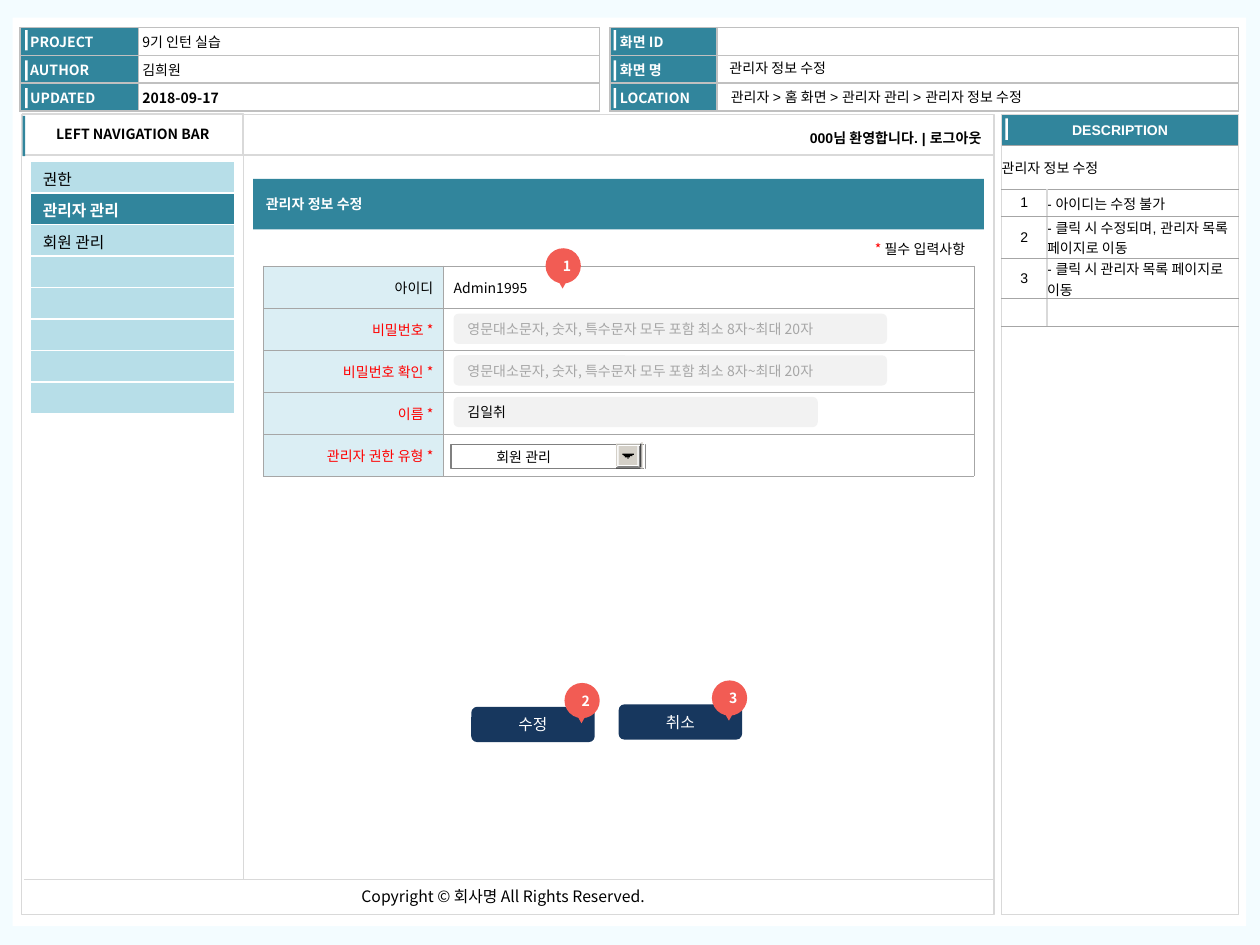
from lxml import etree
from pptx import Presentation
from pptx.dml.color import RGBColor
from pptx.enum.shapes import MSO_CONNECTOR, MSO_SHAPE
from pptx.enum.text import MSO_ANCHOR, MSO_AUTO_SIZE, PP_ALIGN
from pptx.oxml.ns import qn
from pptx.util import Inches, Pt

RECT, ROUND = MSO_SHAPE.RECTANGLE, MSO_SHAPE.ROUNDED_RECTANGLE
OVAL, TRIANGLE = MSO_SHAPE.OVAL, MSO_SHAPE.ISOSCELES_TRIANGLE
LEFT, CENTER, RIGHT = PP_ALIGN.LEFT, PP_ALIGN.CENTER, PP_ALIGN.RIGHT
MIDDLE = MSO_ANCHOR.MIDDLE
STRAIGHT, NO_AUTOSIZE = MSO_CONNECTOR.STRAIGHT, MSO_AUTO_SIZE.NONE
SANS, ARIAL = "Noto Sans CJK KR", "Arial"
TEAL, SKY, PALE, NAVY, CORAL = "31859C", "B7DEE8", "DBEEF4", "17375E", "F25C54"
WHITE, BLACK, RED = "FFFFFF", "000000", "FF0000"
FIELD, EDGE, SILVER, GREY, FACE = "F2F2F2", "D9D9D9", "C0C0C0", "A6A6A6", "D4D0C8"


def rgb(value):
    return RGBColor.from_string(value)


class Wireframe:
    """Draws the elements of a screen specification on the current slide."""

    def __init__(self, slide):
        self.slide = slide
        slide.background.fill.solid()
        slide.background.fill.fore_color.rgb = rgb("F3FCFF")

    def set_text(self, frame, text, color=BLACK, size=8, bold=False, font=SANS, align=LEFT):
        paragraph = frame.paragraphs[0]
        paragraph.alignment = align
        paragraph.font.name, paragraph.font.size, paragraph.font.bold = font, Pt(size), bold
        runs = text if isinstance(text, list) else [(text, color)]
        if len(runs) == 1:
            paragraph.font.color.rgb = rgb(color)
        properties = paragraph._p.get_or_add_pPr().find(qn("a:defRPr"))
        etree.SubElement(properties, qn("a:ea")).set("typeface", SANS)
        for words, run_color in runs:
            if not words:
                paragraph._p.get_or_add_endParaRPr().set("sz", str(size * 100))
                continue
            run = paragraph.add_run()
            run.text = words
            if len(runs) > 1:
                run.font.color.rgb = rgb(run_color)

    def margins(self, target, sides):
        names = ("margin_left", "margin_top", "margin_right", "margin_bottom")
        for name, side in zip(names, sides):
            setattr(target, name, Inches(side))

    def shape(self, box, fill=None, line=None, kind=RECT, text=None,
              inset=(0.1, 0.05, 0.1, 0.05), parent=None, **style):
        shape = (parent or self.slide).shapes.add_shape(kind, *map(Inches, box))
        shape.shadow.inherit = False
        if fill:
            shape.fill.solid()
            shape.fill.fore_color.rgb = rgb(fill)
        else:
            shape.fill.background()
        if line:
            shape.line.color.rgb = rgb(line)
            shape.line.width = Pt(0.75)
        else:
            shape.line.fill.background()
        if text:
            shape.text_frame.vertical_anchor = MIDDLE
            self.margins(shape.text_frame, inset)
            self.set_text(shape.text_frame, text, **style)
        return shape

    def text(self, box, text, inset=(0.08, 0.04, 0.08, 0.04), wrap=True, **style):
        frame = self.slide.shapes.add_textbox(*map(Inches, box)).text_frame
        frame.word_wrap = wrap
        self.margins(frame, inset)
        self.set_text(frame, text, **style)

    def title(self, box, text):
        title = self.slide.shapes.title
        title.left, title.top, title.width, title.height = map(Inches, box)
        title.fill.solid()
        title.fill.fore_color.rgb = rgb(TEAL)
        frame = title.text_frame
        frame.auto_size, frame.vertical_anchor = NO_AUTOSIZE, MIDDLE
        self.set_text(frame, text, color=WHITE, bold=True)
        self.slide.shapes.element.append(title.element)

    def line(self, start, end, width=1.0):
        line = self.slide.shapes.add_connector(STRAIGHT, *map(Inches, start + end))
        line.line.color.rgb = rgb(EDGE)
        line.line.width = Pt(width)
        etree.SubElement(line.element.spPr, qn("a:effectLst"))

    def border(self, tag, color, width):
        edge = etree.Element(qn("a:" + tag), w=str(Pt(width)))
        fill = etree.SubElement(edge, qn("a:solidFill"))
        etree.SubElement(fill, qn("a:srgbClr"), val=color)
        return edge

    def table(self, origin, widths, heights, rows, upright, level, inset):
        size = (sum(widths), sum(heights))
        table = self.slide.shapes.add_table(
            len(heights), len(widths), *map(Inches, origin + size)).table
        table.first_row = table.horz_banding = False
        for column, width in zip(table.columns, widths):
            column.width = Inches(width)
        for row, height, contents in zip(table.rows, heights, rows):
            row.height = Inches(height)
            for cell, (text, fill, style) in zip(row.cells, contents):
                cell.vertical_anchor = MIDDLE
                self.margins(cell, inset)
                style = dict(style)
                if "indent" in style:
                    cell.margin_left = Inches(style.pop("indent"))
                self.set_text(cell.text_frame, text, **style)
                if fill:
                    cell.fill.solid()
                    cell.fill.fore_color.rgb = rgb(fill)
                else:
                    cell.fill.background()
                edges = zip(("lnL", "lnR", "lnT", "lnB"), (upright, upright, level, level))
                for index, (tag, edge) in enumerate(edges):
                    cell._tc.get_or_add_tcPr().insert(index, self.border(tag, *edge))
        return table

    def marker(self, left, top, number):
        group = self.slide.shapes.add_group_shape()
        self.shape((left, top, 0.28, 0.28), CORAL, kind=OVAL, text=number, parent=group,
                   inset=(0.06, 0, 0, 0), color=WHITE, bold=True, align=CENTER)
        self.shape((left + 0.09, top + 0.24, 0.09, 0.08), CORAL, kind=TRIANGLE,
                   parent=group).rotation = 180


presentation = Presentation()
presentation.slide_width, presentation.slide_height = Inches(10), Inches(7.5)
page = Wireframe(presentation.slides.add_slide(presentation.slide_layouts[5]))
SCREEN = "관리자 정보 수정"
HEADING = {"color": WHITE, "bold": True, "indent": 0.08}

page.shape((0.1, 0.14, 9.79, 7.21), WHITE)
project = [("PROJECT", "9기 인턴 실습", {}), ("AUTHOR", "김희원", {}),
           ("UPDATED", "2018-09-17", {"bold": True})]
location = [("화면 ID", "", {}), ("화면 명", "", {}), ("LOCATION", "", {})]
for left, widths, entries in ((0.16, (0.94, 3.66), project), (4.84, (0.85, 4.14), location)):
    rows = [[(label, TEAL, HEADING), (value, WHITE, style)] for label, value, style in entries]
    page.table((left, 0.22), widths, [0.22] * 3, rows, (SILVER, 1), (SILVER, 1),
               (0.03, 0, 0.03, 0))
for left in (0.2, 4.87):
    for top in (0.24, 0.48, 0.7):
        page.shape((left, top, 0.02, 0.16), WHITE)
page.text((5.71, 0.43, 2.9, 0.2), SCREEN, font=ARIAL)
page.text((5.72, 0.66, 4.18, 0.2), "관리자 > 홈 화면 > 관리자 관리 > 관리자 정보 수정", font=ARIAL)

page.shape((0.17, 0.91, 7.72, 6.35), line=EDGE)
centered = {"font": ARIAL, "align": CENTER}
page.table((7.95, 0.91), [1.88], [0.25, 6.1],
           [[("DESCRIPTION", TEAL, {"color": WHITE, "bold": True, **centered})],
            [("", WHITE, {})]], (EDGE, 1), (EDGE, 1), (0, 0, 0, 0))
page.shape((7.98, 0.94, 0.02, 0.17), WHITE)
notes = [(SCREEN, ""), ("1", "- 아이디는 수정 불가"),
         ("2", "- 클릭 시 수정되며, 관리자 목록 페이지로 이동"),
         ("3", "- 클릭 시 관리자 목록 페이지로 이동"), ("", "")]
rows = [[(key, WHITE, {"font": ARIAL} if key == SCREEN else centered),
         (note, WHITE, {"font": ARIAL})] for key, note in notes]
description = page.table((7.95, 1.15), (0.36, 1.52), (0.35, 0.22, 0.33, 0.32, 0.22), rows,
                         (EDGE, 1), (GREY, 0.5), (0, 0, 0, 0))
description.cell(0, 0).merge(description.cell(0, 1))

page.line((0.19, 6.98), (7.89, 6.98))
page.text((2.77, 6.99, 2.52, 0.25), "Copyright ©\u00a0회사명 All Rights Reserved.",
          inset=(0.1, 0.05, 0.1, 0.05), wrap=False, size=9)
page.shape((0.18, 0.9, 1.75, 0.33), line=EDGE, text="LEFT NAVIGATION BAR", bold=True,
           align=CENTER)
page.shape((0.18, 0.92, 0.02, 0.32), TEAL)
page.line((1.93, 0.91), (1.93, 6.98), 0.75)
page.line((1.93, 1.23), (7.89, 1.23))
page.text((5.29, 0.99, 2.58, 0.22), "000님 환영합니다. | 로그아웃", font=ARIAL, bold=True,
          align=RIGHT)
menu = ["권한", "관리자 관리", "회원 관리"] + [""] * 5
selected = {"color": WHITE, "bold": True, "size": 9}
rows = [[(item, TEAL, selected) if item == "관리자 관리" else (item, SKY, {"size": 9})]
        for item in menu]
page.table((0.24, 1.28), [1.62], [0.25] * 8, rows, (WHITE, 1), (WHITE, 1),
           (0.1, 0.04, 0.1, 0.02))

page.title((2.01, 1.42, 5.8, 0.4), SCREEN)
for left, top, label, number in ((3.74, 5.61, "수정", "2"), (4.91, 5.59, "취소", "3")):
    page.shape((left, top, 0.98, 0.28), NAVY, kind=ROUND, text=label, color=WHITE, size=9,
               align=CENTER)
    page.marker(left + 0.74, top - 0.19, number)

labels = ["아이디", "비밀번호 *", "비밀번호 확인 *", "이름 *", "관리자 권한 유형 *"]
rows = [[(label, PALE, {"color": RED if "*" in label else BLACK, "align": RIGHT}),
         ("" if "*" in label else "Admin1995", None, {})] for label in labels]
page.table((2.09, 2.11), (1.43, 4.21), [1.67 / 5] * 5, rows, (GREY, 0.25), (GREY, 0.25),
           (0.08, 0.04, 0.08, 0.04))
page.shape((3.58, 3.53, 1.54, 0.19), WHITE, "808080", text="회원 관리",
           inset=(0.36, 0, 0.08, 0))
arrow_button = page.slide.shapes.add_group_shape()
for *box, fill in (
        (5.11, 3.5, 0.01, 0.24, WHITE), (5.09, 3.51, 0.01, 0.21, FACE),
        (5.08, 3.52, 0.01, 0.19, "404040"), (4.89, 3.71, 0.19, 0.01, "404040"),
        (4.89, 3.52, 0.01, 0.18, FACE), (4.9, 3.52, 0.18, 0.01, FACE),
        (5.07, 3.54, 0.01, 0.17, "808080"), (4.9, 3.7, 0.17, 0.01, "808080"),
        (4.9, 3.54, 0.01, 0.16, WHITE), (4.91, 3.54, 0.15, 0.01, WHITE),
        (4.91, 3.54, 0.15, 0.15, FACE), (4.98, 3.63, 0.01, 0.01, BLACK),
        (4.96, 3.62, 0.04, 0.01, BLACK), (4.95, 3.61, 0.07, 0.01, BLACK),
        (4.94, 3.6, 0.09, 0.01, BLACK)):
    page.shape(box, fill, parent=arrow_button)
page.marker(4.33, 1.97, "1")

hint = "영문대소문자, 숫자, 특수문자 모두 포함 최소 8자~최대 20자"
for top, width, value, color in ((2.49, 3.44, hint, GREY), (2.82, 3.44, hint, GREY),
                                 (3.15, 2.89, "김일취", BLACK)):
    page.shape((3.6, top, width, 0.24), FIELD, kind=ROUND, text=value, color=color)
page.text((6.34, 1.86, 1.42, 0.24), [("* ", RED), ("필수 입력사항", BLACK)],
          inset=(0.1, 0.05, 0.1, 0.05), align=RIGHT)
presentation.save("out.pptx")
